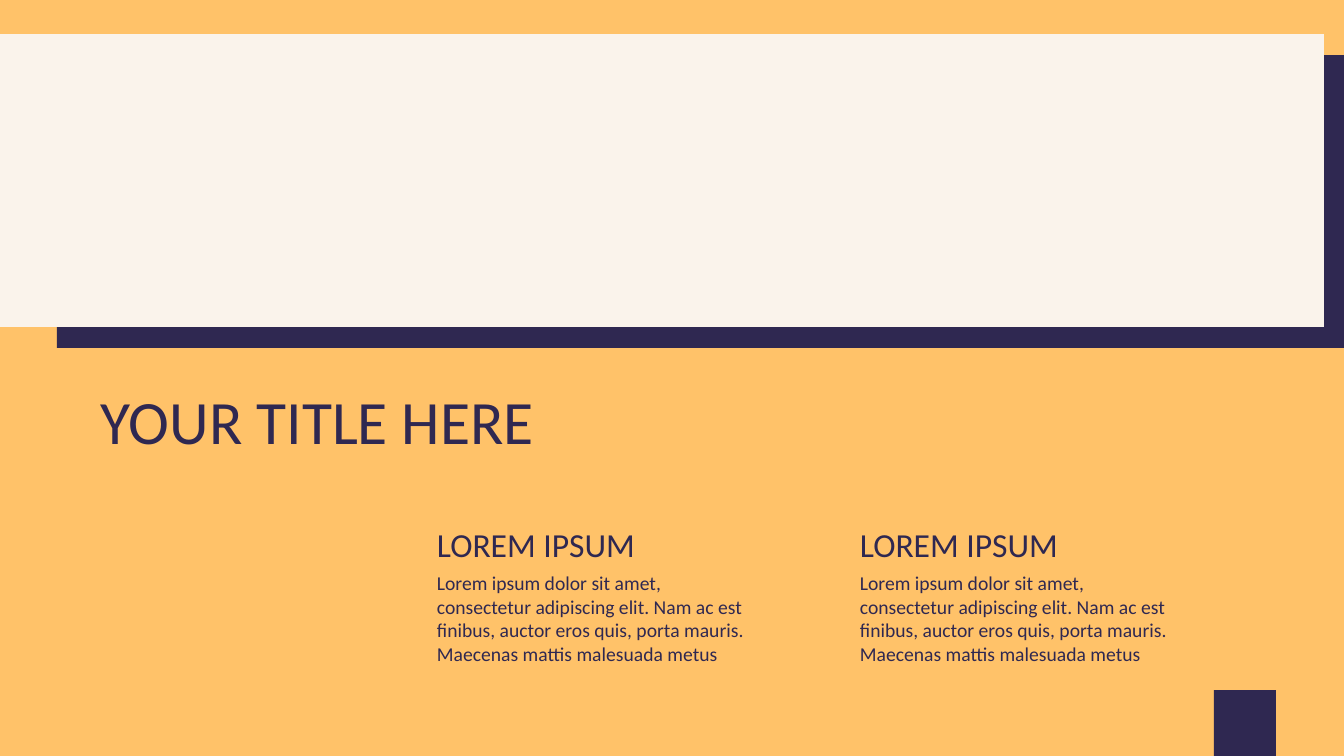
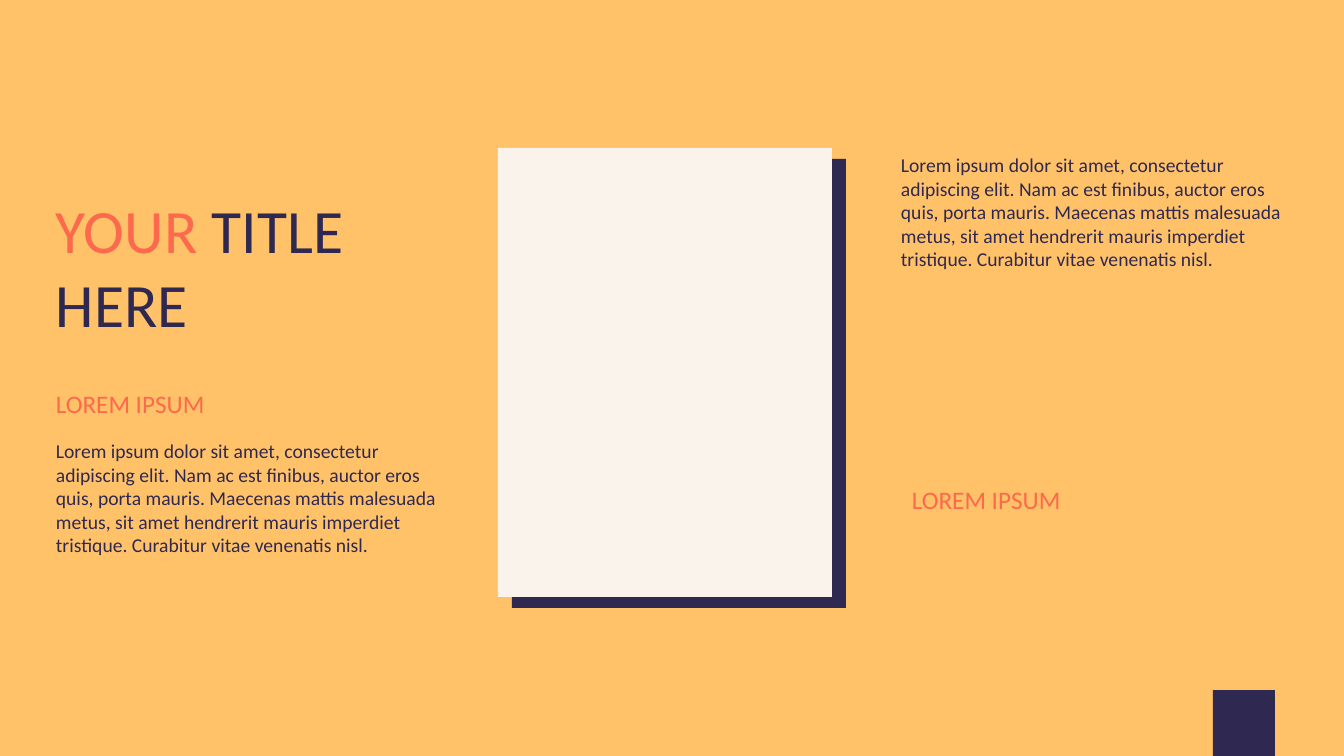
from pptx import Presentation
from pptx.dml.color import RGBColor
from pptx.enum.shapes import MSO_SHAPE
from pptx.enum.text import MSO_AUTO_SIZE
from pptx.util import Pt

WIDE, HIGH = 1344, 756
SCALE = 12192000 / WIDE
FONT = "Calibri"
COLOR = {
    "sand": "FFC269",
    "navy": "2F2851",
    "cream": "FAF3EB",
    "coral": "FD694C",
}
SHORT = (
    "Lorem ipsum dolor sit amet, consectetur adipiscing elit. "
    "Nam ac est finibus, auctor eros quis, porta mauris. "
    "Maecenas mattis malesuada metus"
)
LONG = SHORT + (
    ", sit amet hendrerit mauris imperdiet tristique. "
    "Curabitur vitae venenatis nisl."
)
HEAD = "LOREM IPSUM"


def px(*sides):
    return [round(side * SCALE) for side in sides]


def rgb(name):
    return RGBColor.from_string(COLOR[name])


def block(shapes, box, color):
    shape = shapes.add_shape(MSO_SHAPE.RECTANGLE, *px(*box))
    shape.shadow.inherit = False
    shape.fill.solid()
    shape.fill.fore_color.rgb = rgb(color)
    shape.line.fill.background()


def panel(slide, back, front):
    group = slide.shapes.add_group_shape()
    block(group.shapes, back, "navy")
    block(group.shapes, front, "cream")


def write(slide, box, size, *lines):
    frame = slide.shapes.add_textbox(*px(*box)).text_frame
    frame.word_wrap = True
    frame.auto_size = MSO_AUTO_SIZE.SHAPE_TO_FIT_TEXT
    for index, line in enumerate(lines):
        para = frame.add_paragraph() if index else frame.paragraphs[0]
        for text, color in line:
            run = para.add_run()
            run.text = text
            run.font.name = FONT
            run.font.size = Pt(size)
            run.font.color.rgb = rgb(color)


def title(slide, box, *lines):
    write(slide, box, 44, *lines)


def body(slide, box, text):
    write(slide, box, 14, [(text, "navy")])


def start(deck, tab):
    slide = deck.slides.add_slide(deck.slide_layouts[6])
    fill = slide.background.fill
    fill.solid()
    fill.fore_color.rgb = rgb("sand")
    block(slide.shapes, (tab, 690, 62, 66), "navy")
    return slide


def banner(deck):
    slide = start(deck, 1214)
    panel(slide, (57, 55, 1287, 293), (0, 34, 1324, 293))
    title(slide, (91, 378, 1032, 85), [("YOUR TITLE HERE", "navy")])
    for left in (427, 850):
        write(slide, (left, 519, 261, 50), 24, [(HEAD, "navy")])
        body(slide, (left, 566, 329, 105), SHORT)


def poster(deck):
    slide = start(deck, 1213)
    panel(slide, (512, 159, 334, 449), (498, 148, 334, 449))
    title(
        slide,
        (46, 187, 436, 159),
        [("YOUR", "coral"), (" TITLE", "navy")],
        [("HERE", "navy")],
    )
    for left, top in ((46, 383), (902, 479)):
        write(slide, (left, top, 202, 40), 18, [(HEAD, "coral")])
    for left, top in ((46, 434), (891, 148)):
        body(slide, (left, top, 423, 129), LONG)


def main():
    deck = Presentation()
    deck.slide_width, deck.slide_height = px(WIDE, HIGH)
    banner(deck)
    poster(deck)
    deck.save("out.pptx")


if __name__ == "__main__":
    main()
